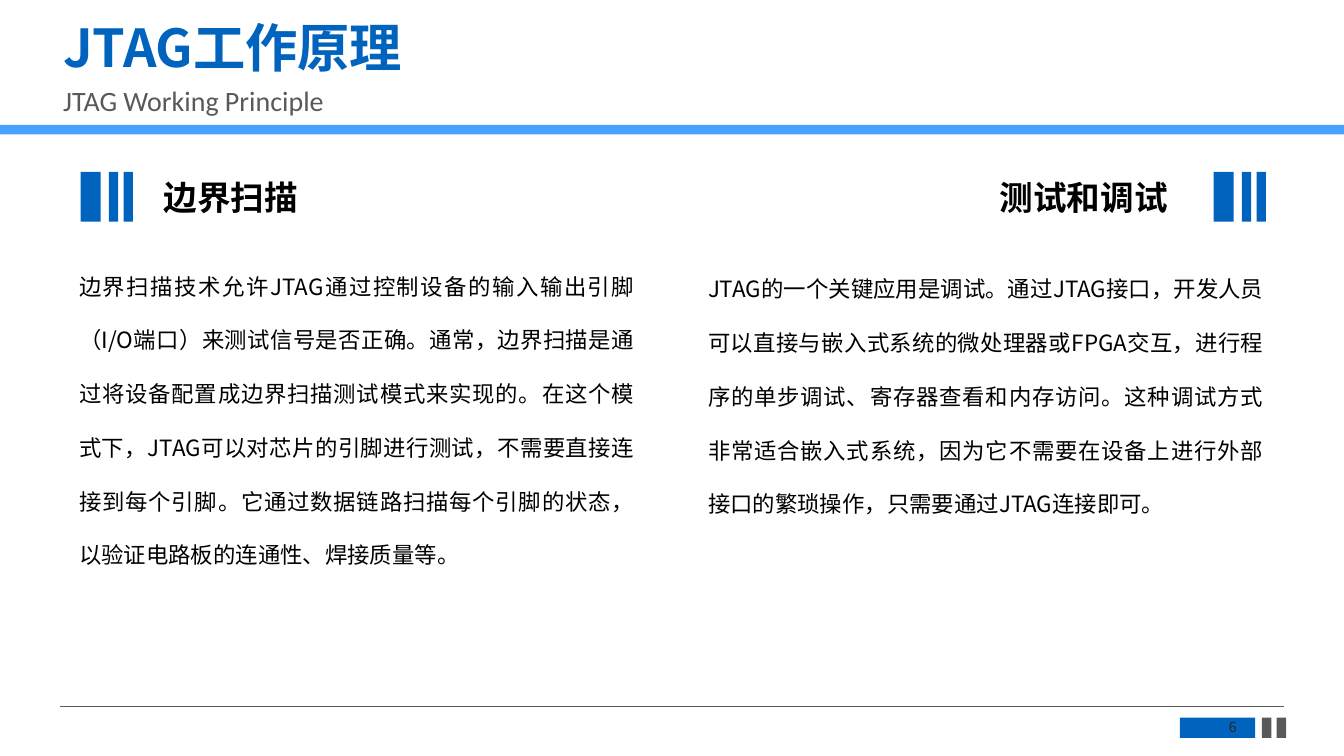
from pptx import Presentation
from pptx.dml.color import RGBColor
from pptx.enum import shapes, text
from pptx.oxml.ns import qn
from pptx.util import Inches, Pt
from lxml import etree

BLUE = RGBColor(0x00, 0x63, 0xBE)
SKY = RGBColor(0x47, 0xA1, 0xFE)
GRAY = RGBColor(0x59, 0x59, 0x59)
DARK = RGBColor(0x26, 0x26, 0x26)
BLACK = RGBColor(0, 0, 0)
CJK = "Noto Sans CJK SC"
LATIN = "Calibri"

SCAN_TEXT = (
    "边界扫描技术允许JTAG通过控制设备的输入输出引脚（I/O端口）来测试信号是否正确。"
    "通常，边界扫描是通过将设备配置成边界扫描测试模式来实现的。"
    "在这个模式下，JTAG可以对芯片的引脚进行测试，不需要直接连接到每个引脚。"
    "它通过数据链路扫描每个引脚的状态，以验证电路板的连通性、焊接质量等。"
)
DEBUG_TEXT = (
    "JTAG的一个关键应用是调试。通过JTAG接口，开发人员可以直接与嵌入式系统的微处理器"
    "或FPGA交互，进行程序的单步调试、寄存器查看和内存访问。"
    "这种调试方式非常适合嵌入式系统，因为它不需要在设备上进行外部接口的繁琐操作，"
    "只需要通过JTAG连接即可。"
)


def place(shape, left, top, width, height):
    shape.left, shape.top = Inches(left), Inches(top)
    shape.width, shape.height = Inches(width), Inches(height)


def write(shape, wording, size, color, font=CJK, bold=False,
          align=text.PP_ALIGN.LEFT, spacing=1.0):
    """Fill the shape with one formatted paragraph, East Asian font included."""
    para = shape.text_frame.paragraphs[0]
    span = para.add_run()
    span.text = wording
    para.alignment, para.line_spacing = align, spacing
    para.space_before = Pt(0)
    para.font.size, para.font.bold = Pt(size), bold
    para.font.name = font
    para.font.color.rgb = color
    east_asian = etree.SubElement(para.font._element, qn("a:ea"))
    east_asian.set("typeface", font)


def fill_placeholder(box, bounds, wording, size, color, **style):
    place(box, *bounds)
    frame = box.text_frame
    frame.vertical_anchor = text.MSO_ANCHOR.MIDDLE
    frame.auto_size = text.MSO_AUTO_SIZE.NONE
    write(box, wording, size, color, **style)


def add_text(page, bounds, wording, size, color, wrap=True, grow=True, **style):
    box = page.shapes.add_textbox(*map(Inches, bounds))
    frame = box.text_frame
    frame.word_wrap = wrap
    if grow:
        frame.auto_size = text.MSO_AUTO_SIZE.SHAPE_TO_FIT_TEXT
    else:
        frame.vertical_anchor = text.MSO_ANCHOR.MIDDLE
    write(box, wording, size, color, **style)


def add_bar(parent, left, top, width, height, color):
    bar = parent.shapes.add_shape(
        shapes.MSO_SHAPE.RECTANGLE, *map(Inches, (left, top, width, height)))
    bar.shadow.inherit = False
    bar.fill.solid()
    bar.fill.fore_color.rgb = color
    bar.line.fill.background()


def add_bar_group(page, left, top, height, bars):
    """Group bars given as (offset from left, width, colour)."""
    group = page.shapes.add_group_shape()
    for offset, width, color in bars:
        add_bar(group, left + offset, top, width, height, color)


def add_footer(page):
    rule = page.shapes.add_connector(
        shapes.MSO_CONNECTOR.STRAIGHT, *map(Inches, (0.45, 5.26, 9.55, 5.26)))
    rule.line.color.rgb = GRAY
    rule.line.width = Pt(0.5)
    etree.SubElement(rule._element.spPr, qn("a:effectLst"))
    add_bar_group(page, 8.78, 5.34, 0.15,
                  [(0, 0.56, BLUE), (0.61, 0.07, GRAY), (0.72, 0.07, GRAY)])
    add_text(page, (8.81, 5.35, 0.49, 0.12), "6", 7.5, DARK, grow=False,
             align=text.PP_ALIGN.RIGHT)


def add_section(page, marker_left, heading_box, heading, body_box, body):
    add_bar_group(page, marker_left, 1.28, 0.37,
                  [(0, 0.15, BLUE), (0.21, 0.07, BLUE), (0.32, 0.07, BLUE)])
    add_text(page, heading_box, heading, 18, BLACK, wrap=False, bold=True)
    add_text(page, body_box, body, 12, BLACK, spacing=2.0,
             align=text.PP_ALIGN.JUSTIFY)


def main():
    deck = Presentation()
    deck.slide_width = Inches(10)
    deck.slide_height = deck.slide_width * 9 // 16
    page = deck.slides.add_slide(deck.slide_layouts[0])
    title, subtitle = page.placeholders
    fill_placeholder(title, (0.37, 0.15, 9.13, 0.48), "JTAG工作原理", 28, BLUE,
                     bold=True, spacing=0.8)
    fill_placeholder(subtitle, (0.37, 0.6, 9.13, 0.33), "JTAG Working Principle",
                     15, GRAY, font=LATIN, spacing=0.9)
    add_bar(page, 0, 0.93, 10, 0.07, SKY)
    add_footer(page)
    add_section(page, 0.6, (1.12, 1.27, 1.21, 0.4), "边界扫描",
                (0.49, 1.78, 4.33, 2.46), SCAN_TEXT)
    add_section(page, 9.03, (7.34, 1.27, 1.46, 0.4), "测试和调试",
                (5.17, 1.8, 4.33, 2.06), DEBUG_TEXT)
    deck.save("out.pptx")


if __name__ == "__main__":
    main()
